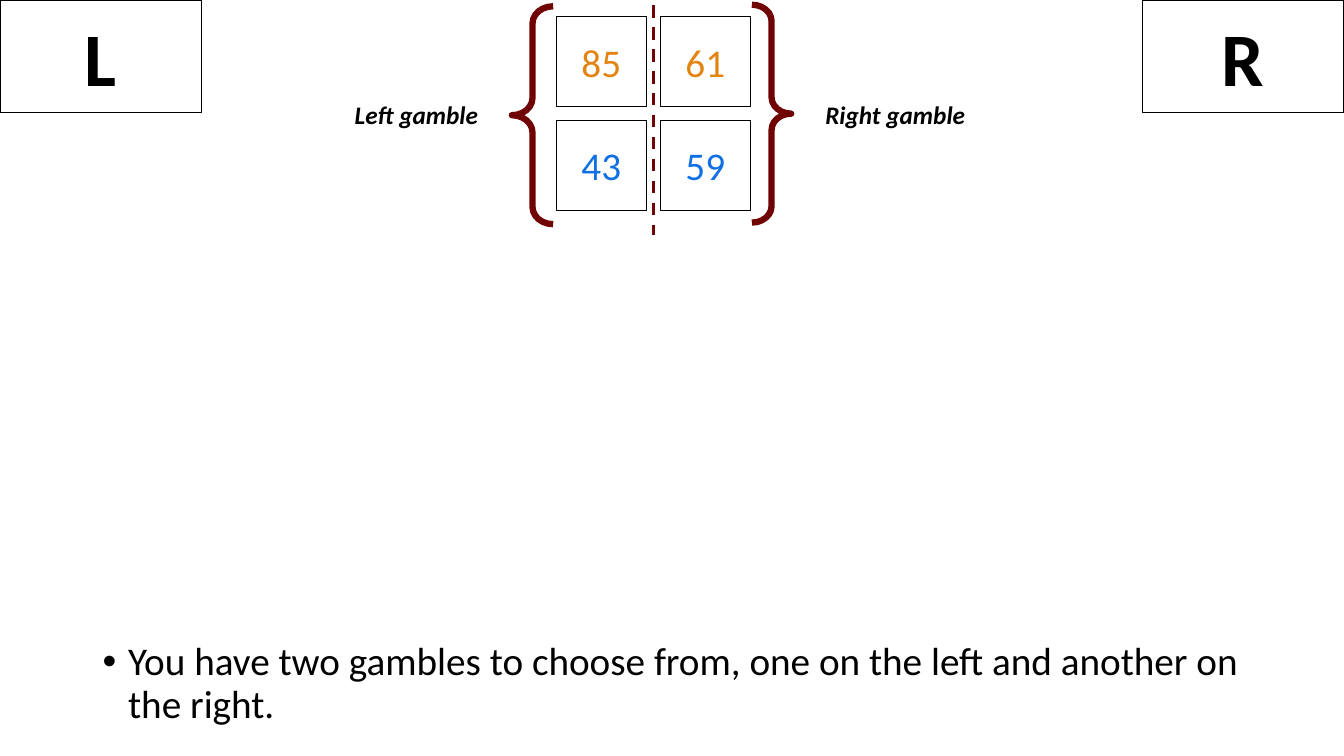
from lxml import etree
from pptx import Presentation
from pptx.dml.color import RGBColor
from pptx.enum import dml, shapes, text
from pptx.oxml.ns import qn
from pptx.util import Cm, Pt

COLORS = {"black": "000000", "white": "FFFFFF", "orange": "E38411",
          "blue": "1170E3", "maroon": "700404"}
CENTER = text.PP_ALIGN.CENTER
MIDDLE = text.MSO_ANCHOR.MIDDLE


def rgb(name):
    return RGBColor.from_string(COLORS[name])


def set_text(sp, words, color="black", align=None, anchor=None, **font):
    tf = sp.text_frame
    tf.word_wrap = True
    if anchor is not None:
        tf.vertical_anchor = anchor
    p = tf.paragraphs[0]
    p.alignment = align
    r = p.add_run()
    r.text = words
    r.font.color.rgb = rgb(color)
    for name, value in {"name": "Calibri", **font}.items():
        setattr(r.font, name, value)
    return p


def add_outline(s, kind, box, color="black", width=1, fill=None):
    """Add a preset shape with a coloured line and an optional fill."""
    sp = s.shapes.add_shape(kind, *map(Cm, box))
    sp.shadow.inherit = False
    if fill:
        sp.fill.solid()
        sp.fill.fore_color.rgb = rgb(fill)
    else:
        sp.fill.background()
    sp.line.color.rgb = rgb(color)
    sp.line.width = Pt(width)
    return sp


def add_box(s, box, words, size, color="black", fill=None, bold=False):
    sp = add_outline(s, shapes.MSO_SHAPE.RECTANGLE, box, fill=fill)
    set_text(sp, words, color, CENTER, MIDDLE, size=Pt(size), bold=bold)


def add_brace(s, kind, box):
    sp = add_outline(s, kind, box, "maroon", 4.5)
    sp.adjustments[0] = 0.417
    sp.adjustments[1] = 0.5


def add_label(s, box, words):
    sp = s.shapes.add_textbox(*map(Cm, box))
    set_text(sp, words, size=Pt(18), bold=True, italic=True)


def add_divider(s, x, top, bottom):
    line = s.shapes.add_connector(shapes.MSO_CONNECTOR.STRAIGHT,
                                  Cm(x), Cm(top), Cm(x), Cm(bottom))
    line.line.color.rgb = rgb("maroon")
    line.line.width = Pt(2.25)
    line.line.dash_style = dml.MSO_LINE.DASH
    etree.SubElement(line._element.spPr, qn("a:effectLst"))


def add_bullet_text(s, box, words):
    sp = s.shapes.add_textbox(*map(Cm, box))
    p = set_text(sp, words, size=Pt(28))
    pPr = p._p.get_or_add_pPr()
    pPr.set("marL", str(Cm(0.64)))
    pPr.set("indent", str(-Cm(0.64)))
    etree.SubElement(pPr, qn("a:buFont")).set("typeface", "Arial")
    etree.SubElement(pPr, qn("a:buChar")).set("char", "•")
    p.line_spacing = 0.9


def main():
    prs = Presentation()
    prs.slide_width, prs.slide_height = Cm(33.87), Cm(19.05)
    s = prs.slides.add_slide(prs.slide_layouts[6])

    add_bullet_text(s, (2.34, 16.05, 29.21, 2.59),
                    "You have two gambles to choose from, one on the left "
                    "and another on the right.")
    for key, left in (("L", 0), ("R", 28.79)):
        add_box(s, (left, 0, 5.08, 2.84), key, 54, fill="white", bold=True)

    outcomes = (("orange", ("85", "61")), ("blue", ("43", "59")))
    for row, (color, values) in enumerate(outcomes):
        for col, value in enumerate(values):
            box = (14.02 + 2.62 * col, 0.42 + 2.61 * row, 2.27, 2.27)
            add_box(s, box, value, 28, color)

    add_brace(s, shapes.MSO_SHAPE.LEFT_BRACE, (12.9, 0.16, 1.04, 5.49))
    add_brace(s, shapes.MSO_SHAPE.RIGHT_BRACE, (18.95, 0.12, 0.99, 5.49))
    add_label(s, (8.69, 2.39, 3.73, 1.03), "Left gamble")
    add_label(s, (20.55, 2.39, 4.42, 1.03), "Right gamble")
    add_divider(s, 16.46, 0.13, 5.92)

    prs.save("out.pptx")


if __name__ == "__main__":
    main()
